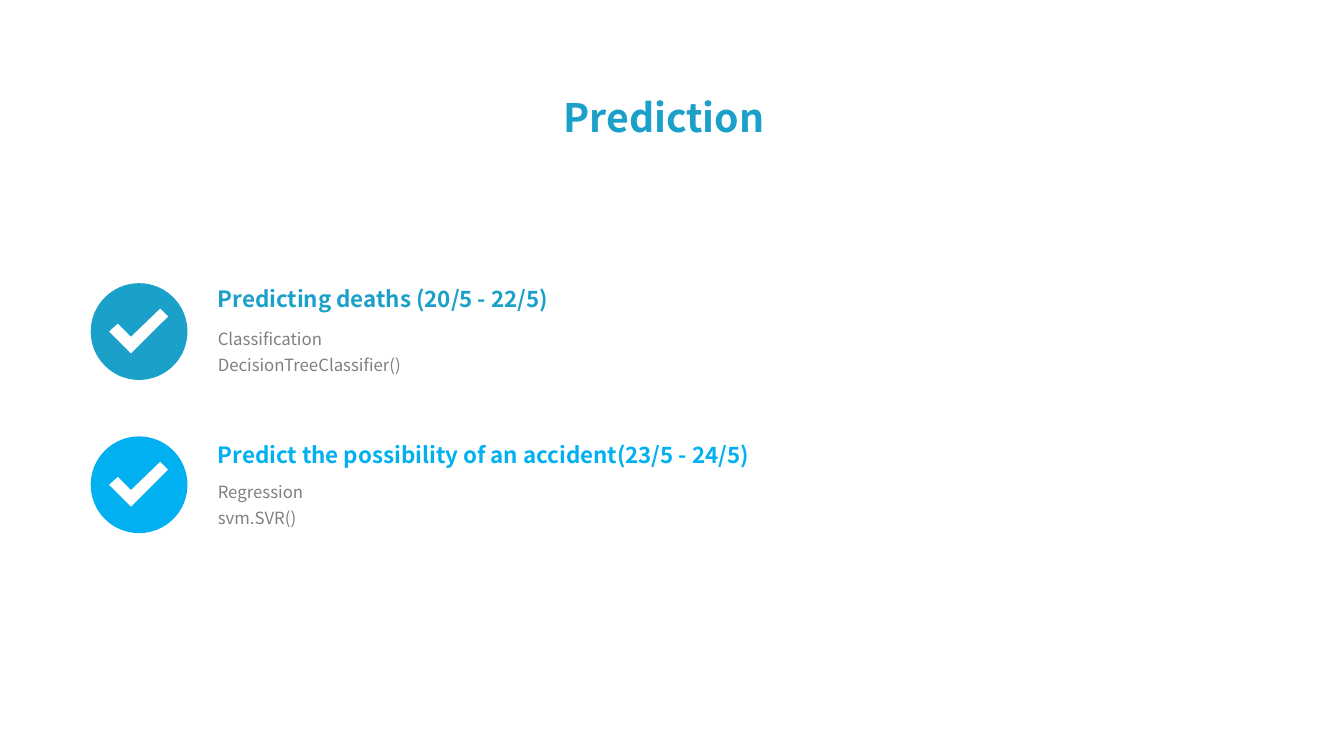
"""Build the Prediction slide with two checked-off tasks."""
import math
from dataclasses import dataclass

from lxml import etree
from pptx import Presentation
from pptx.dml.color import RGBColor
from pptx.enum import text
from pptx.oxml import ns
from pptx.util import Inches, Pt

FONT = "Noto Sans CJK SC"
TEAL, SKY, GREY = "1BA0C9", "00B0F0", "808080"
BADGE_LEFT, BADGE_SIZE, RIM_POINTS = 0.9, 0.96, 64
TEXT_LEFT = 2.06
TICK = [(0.4, 0.7), (0.18, 0.48), (0.27, 0.4), (0.4, 0.53), (0.69, 0.25), (0.77, 0.33)]


@dataclass(frozen=True)
class Task:
    heading: str
    details: tuple[str, ...]
    color: str
    badge_top: float
    heading_top: float
    heading_width: float
    details_top: float


TASKS = [
    Task("Predicting deaths (20/5 - 22/5)", ("Classification", "DecisionTreeClassifier()"),
         TEAL, 2.81, 2.78, 3.7, 3.15),
    Task("Predict the possibility of an accident(23/5 - 24/5)", ("Regression", "svm.SVR()"),
         SKY, 4.33, 4.33, 5.7, 4.67),
]


def rgb(value: str) -> RGBColor:
    """Turn a hex string into a colour."""
    return RGBColor.from_string(value)


def fill_placeholder(placeholder, box: tuple[float, ...], lines: tuple[str, ...], size: int,
                     color: str, bold: bool = False, spacing: float = 1.0) -> None:
    """Place a placeholder and write its lines without bullets."""
    placeholder.left, placeholder.top, placeholder.width, placeholder.height = map(Inches, box)
    frame = placeholder.text_frame
    frame.word_wrap = True
    frame.auto_size = text.MSO_AUTO_SIZE.NONE
    frame.vertical_anchor = text.MSO_ANCHOR.TOP
    for number, line in enumerate(lines):
        paragraph = frame.add_paragraph() if number else frame.paragraphs[0]
        paragraph.alignment = text.PP_ALIGN.LEFT
        paragraph.line_spacing = spacing
        paragraph.space_before = paragraph.space_after = Pt(0)
        properties = paragraph._p.get_or_add_pPr()
        properties.set("marL", "0")
        properties.set("indent", "0")
        etree.SubElement(properties, ns.qn("a:buNone"))
        run = paragraph.add_run()
        run.text = line
        run.font.name, run.font.size, run.font.bold = FONT, Pt(size), bold
        run.font.color.rgb = rgb(color)


def draw_badge(slide, top: float, color: str) -> None:
    """Draw a disc with a tick cut out of it."""
    angles = [2 * math.pi * step / RIM_POINTS for step in range(RIM_POINTS)]
    rim = [(0.5 + math.sin(angle) / 2, 0.5 - math.cos(angle) / 2) for angle in angles]
    rim, tick = (
        [(Inches(BADGE_LEFT + x * BADGE_SIZE), Inches(top + y * BADGE_SIZE)) for x, y in outline]
        for outline in (rim, [(x / BADGE_SIZE, y / BADGE_SIZE) for x, y in TICK])
    )
    builder = slide.shapes.build_freeform(*rim[0])
    builder.add_line_segments(rim[1:], close=True)
    builder.move_to(*tick[0])
    builder.add_line_segments(tick[1:], close=True)
    badge = builder.convert_to_shape()
    badge.shadow.inherit = False
    badge.fill.solid()
    badge.fill.fore_color.rgb = rgb(color)
    badge.line.fill.background()


def main() -> None:
    """Assemble and save the slide."""
    deck = Presentation()
    deck.slide_width, deck.slide_height = Inches(13.33), Inches(7.5)
    slide = deck.slides.add_slide(deck.slide_layouts.get_by_name("Comparison"))
    title, *bodies = list(slide.placeholders)[:5]
    fill_placeholder(title, (5.49, 0.88, 2.35, 0.57), ("Prediction",), 28, TEAL, bold=True)
    for task, heading, details in zip(TASKS, bodies[::2], bodies[1::2]):
        draw_badge(slide, task.badge_top, task.color)
        fill_placeholder(heading, (TEXT_LEFT, task.heading_top, task.heading_width, 0.37),
                         (task.heading,), 16, task.color, bold=True)
        fill_placeholder(details, (TEXT_LEFT, task.details_top, 4.55, 0.62),
                         task.details, 12, GREY, spacing=1.3)
    deck.save("out.pptx")


if __name__ == "__main__":
    main()
